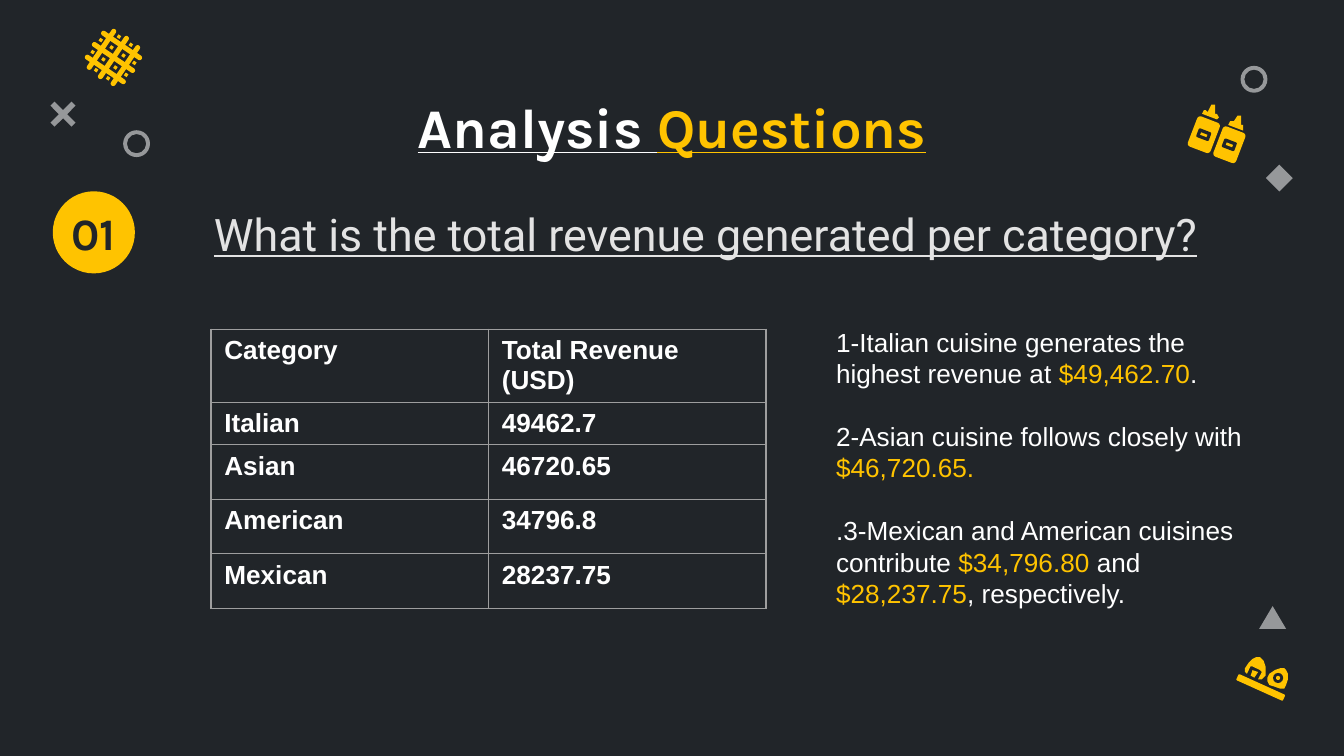
from itertools import product
from math import cos, radians, sin

from lxml.etree import SubElement
from pptx import Presentation
from pptx.dml.color import RGBColor
from pptx.enum.shapes import MSO_SHAPE as Kind
from pptx.enum.text import MSO_ANCHOR as Anchor, PP_ALIGN as Align
from pptx.oxml import parse_xml
from pptx.oxml.ns import nsdecls, qn
from pptx.util import Pt


class Theme:
    """Colours, fonts and type sizes of the slide."""
    dark, gold, white, pale, grid = "212529", "FFC300", "FFFFFF", "E3E3E3", "9E9E9E"
    head, body, ask = "Karla", "Arial", "Roboto"
    title, large, small, line = 30, 24, 14, 16.8


TITLE = [[("Analysis ", Theme.white), ("Questions", Theme.gold)]]
NUMBER = [[("01", Theme.dark)]]
ASK = [[("What is the total revenue generated per category?", Theme.pale)]]
NOTES = [
    [("1-Italian cuisine generates the highest revenue at ", Theme.white),
     ("$49,462.70", Theme.gold), (".", Theme.white)],
    [("2-Asian cuisine follows closely with ", Theme.white),
     ("$46,720.65.", Theme.gold)],
    [(".3-Mexican and American cuisines contribute ", Theme.white),
     ("$34,796.80 ", Theme.gold), ("and ", Theme.white),
     ("$28,237.75", Theme.gold), (", respectively.", Theme.white)],
]
ROWS = [
    ("Category", "Total Revenue (USD)"),
    ("Italian", "49462.7"),
    ("Asian", "46720.65"),
    ("American", "34796.8"),
    ("Mexican", "28237.75"),
]
HEIGHTS = [38.7, 22.8, 29.2, 29.2, 29.2]
COLUMN = 148.7
MARKS = [
    (Kind.DONUT, (671.8, 42.5), (14.4, 14.4), 0.142),
    (Kind.DONUT, (73.2, 77), (14.4, 14.4), 0.142),
    (Kind.MATH_MULTIPLY, (33.8, 61.2), (21.6, 21.6), 0.143),
    (Kind.ISOSCELES_TRIANGLE, (681.8, 330.8), (14.4, 12.2), 0.5),
    (Kind.DIAMOND, (685.4, 95.4), (14.4, 14.4), None),
]
WAFFLE = {"mid": (60.8, 30.8), "tilt": 34.2, "step": 7.75, "bar": 2.7}
BOTTLES = [(658.6, 77.6), (644.9, 72.2)]
CAP = [(5.8, -15.8), (4.3, -15.8), (2.2, -12.2), (0.7, -13), (0, -13),
       (-0.7, -10.8), (7.2, -7.9), (7.9, -9.4), (7.2, -10.8), (6.5, -10.8),
       (6.5, -15.1)]
SUSHI = [
    [(687.6, 357.8), (685.6, 357.6), (683, 358.8), (680.5, 360.9),
     (679, 362.9), (678.8, 365), (679.9, 366.7), (682.6, 367.9),
     (685.5, 368.8), (687.9, 368.6), (689, 367.2), (689.8, 364.3),
     (690, 361), (689.2, 358.7)],
    [(675.4, 352.1), (673.3, 352.2), (671.1, 353.4), (669, 355.3),
     (667.4, 357.8), (667.2, 359.8), (668.2, 361.4), (670.3, 357.1),
     (671, 357.1), (675.4, 358.6), (675.7, 360), (673.9, 363.6),
     (676.1, 363.6), (677.5, 362.2), (678.2, 359.5), (678.1, 356.6),
     (677.1, 354)],
    [(671, 358.6), (669.6, 362.2), (672.5, 362.9), (673.9, 360)],
]

deck = Presentation()
deck.slide_width, deck.slide_height = Pt(720), Pt(405)
slide = deck.slides.add_slide(deck.slide_layouts[6])
slide.background.fill.solid()
slide.background.fill.fore_color.rgb = RGBColor.from_string(Theme.dark)
shapes = slide.shapes


def paint(shape, color):
    shape.shadow.inherit = False
    shape.fill.solid()
    shape.fill.fore_color.rgb = RGBColor.from_string(color)
    shape.line.fill.background()
    return shape


def place(kind, mid, size, color=Theme.gold, tilt=0, adj=None):
    x, y = (m - s / 2 for m, s in zip(mid, size))
    shape = shapes.add_shape(kind, *map(Pt, (x, y, *size)))
    shape.rotation = tilt
    if adj is not None:
        shape.adjustments[0] = adj
    return paint(shape, color)


def outline(points):
    pen = shapes.build_freeform(*points[0], scale=Pt(1))
    pen.add_line_segments(points[1:], close=True)
    paint(pen.convert_to_shape(), Theme.gold)


def style(para, name, size, bold=False, under=False):
    font = para.font
    font.name, font.size, font.bold, font.underline = name, Pt(size), bold, under


def write(box, paras, name, size, bold=False, under=False, align=Align.CENTER,
          anchor=Anchor.TOP, line=None):
    frame = shapes.add_textbox(*map(Pt, box)).text_frame
    frame.word_wrap, frame.vertical_anchor = True, anchor
    frame.margin_left = frame.margin_right = Pt(7.2)
    frame.margin_top = frame.margin_bottom = Pt(7.2)
    for i, runs in enumerate(paras):
        para = frame.add_paragraph() if i else frame.paragraphs[0]
        para.alignment = align
        if line:
            para.line_spacing = Pt(line)
            para.space_before = Pt(line if i else 0)
        style(para, name, size, bold, under)
        for text, color in runs:
            run = para.add_run()
            run.text = text
            run.font.color.rgb = RGBColor.from_string(color)


def border(cell):
    props = cell._tc.get_or_add_tcPr()
    for i, side in enumerate(("lnL", "lnR", "lnT", "lnB")):
        props.insert(i, parse_xml(
            f'<a:{side} {nsdecls("a")} w="9525"><a:solidFill>'
            f'<a:srgbClr val="{Theme.grid}"/></a:solidFill></a:{side}>'))


def waffle(mid, tilt, step, bar):
    c, s = cos(radians(tilt)), sin(radians(tilt))

    def turn(u, v):
        return mid[0] + u * c - v * s, mid[1] + u * s + v * c

    for k in (-1, 0, 1):
        size = 27.4 - 1.4 * abs(k)
        place(Kind.ROUNDED_RECTANGLE, turn(0, k * step), (size, bar), tilt=tilt, adj=0.5)
        place(Kind.ROUNDED_RECTANGLE, turn(k * step, 0), (bar, size), tilt=tilt, adj=0.5)
    for u, v in product((-1.4, -0.5, 0.5, 1.4), repeat=2):
        if abs(u) + abs(v) < 2:
            place(Kind.RECTANGLE, turn(u * step, v * step), (1.8, 1.8), tilt=tilt)


def bottle(mid):
    for size, color, adj in (((13, 17.3), Theme.gold, 0.14),
                             ((7.2, 5), Theme.dark, 0.16),
                             ((3.6, 1.4), Theme.gold, 0)):
        place(Kind.ROUNDED_RECTANGLE, mid, size, color, 21, adj)
    outline([(mid[0] + x, mid[1] + y) for x, y in CAP])


for kind, mid, size, adj in MARKS:
    mark = place(kind, mid, size, Theme.white, adj=adj)
    tint = mark._element.spPr.find(qn("a:solidFill"))[0]
    SubElement(tint, qn("a:alpha")).set("val", "53000")

waffle(**WAFFLE)
for mid in BOTTLES:
    bottle(mid)
for points in SUSHI:
    outline(points)
place(Kind.ROUNDED_RECTANGLE, (675.4, 368.3), (27.4, 3.6), tilt=24.3)
place(Kind.OVAL, (684.7, 363.2), (5.4, 5.4), Theme.dark)
place(Kind.OVAL, (684.7, 363.2), (2.2, 2.2))
place(Kind.OVAL, (50.3, 124.5), (44, 44))

write((153.4, 42.5, 413.3, 37.4), TITLE, Theme.head, Theme.title, True, True)
write((20.9, 107.3, 58.3, 34.6), NUMBER, Theme.head, Theme.large, True,
      anchor=Anchor.MIDDLE)
write((101.9, 112.1, 552.2, 34.6), ASK, Theme.ask, Theme.large, under=True,
      anchor=Anchor.BOTTOM)
write((440.8, 167.6, 243.4, 169.9), NOTES, Theme.body, Theme.small,
      align=Align.LEFT, line=Theme.line)

table = shapes.add_table(len(ROWS), 2, Pt(113), Pt(176.4), Pt(2 * COLUMN),
                         Pt(sum(HEIGHTS))).table
for column in table.columns:
    column.width = Pt(COLUMN)
for r, (row, height) in enumerate(zip(ROWS, HEIGHTS)):
    table.rows[r].height = Pt(height)
    for c, text in enumerate(row):
        cell = table.cell(r, c)
        cell.text = text
        cell.margin_bottom = Pt(1.8)
        cell.fill.background()
        border(cell)
        para = cell.text_frame.paragraphs[0]
        style(para, Theme.body, Theme.small, True)
        para.font.color.rgb = RGBColor.from_string(Theme.white)

deck.save("out.pptx")
